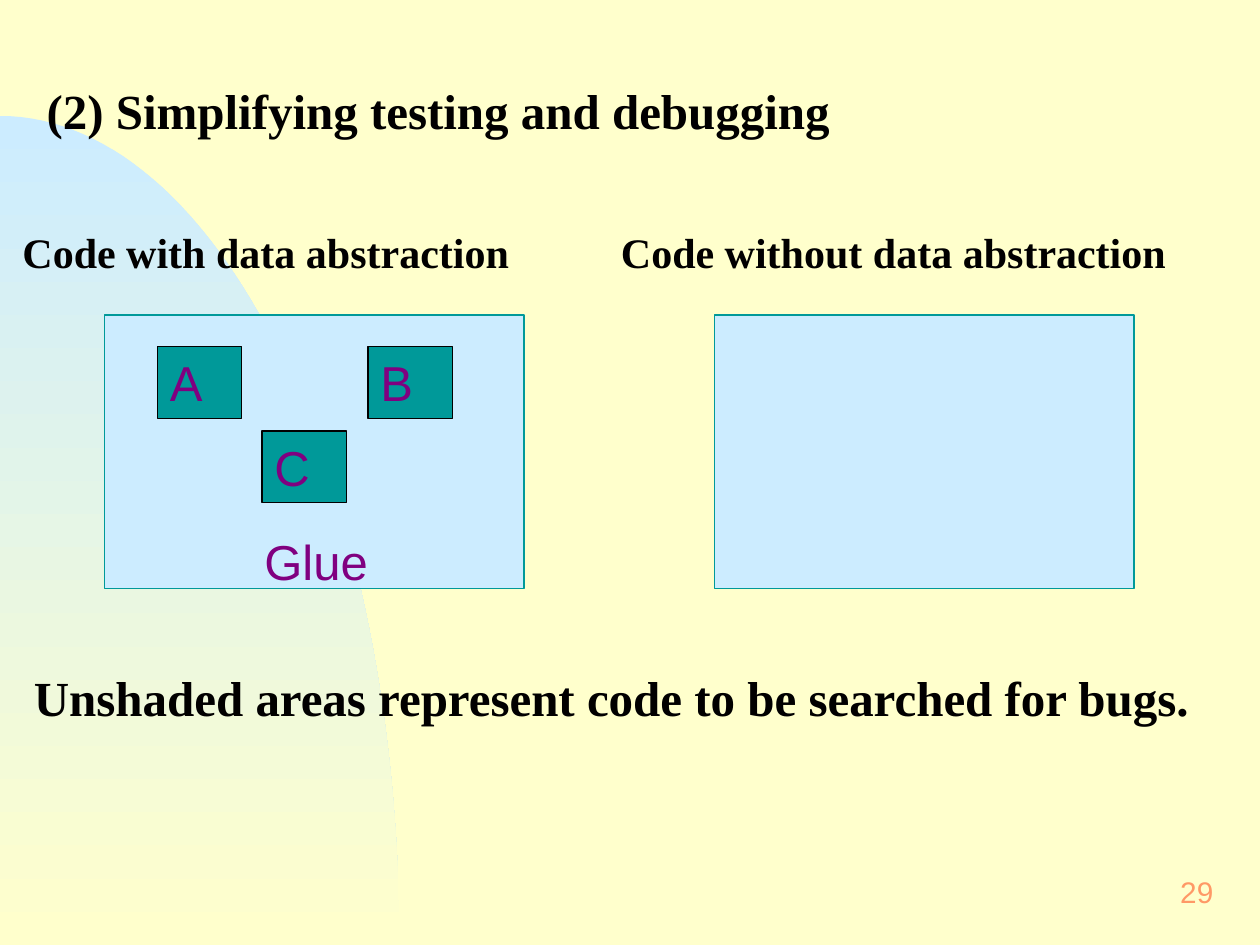
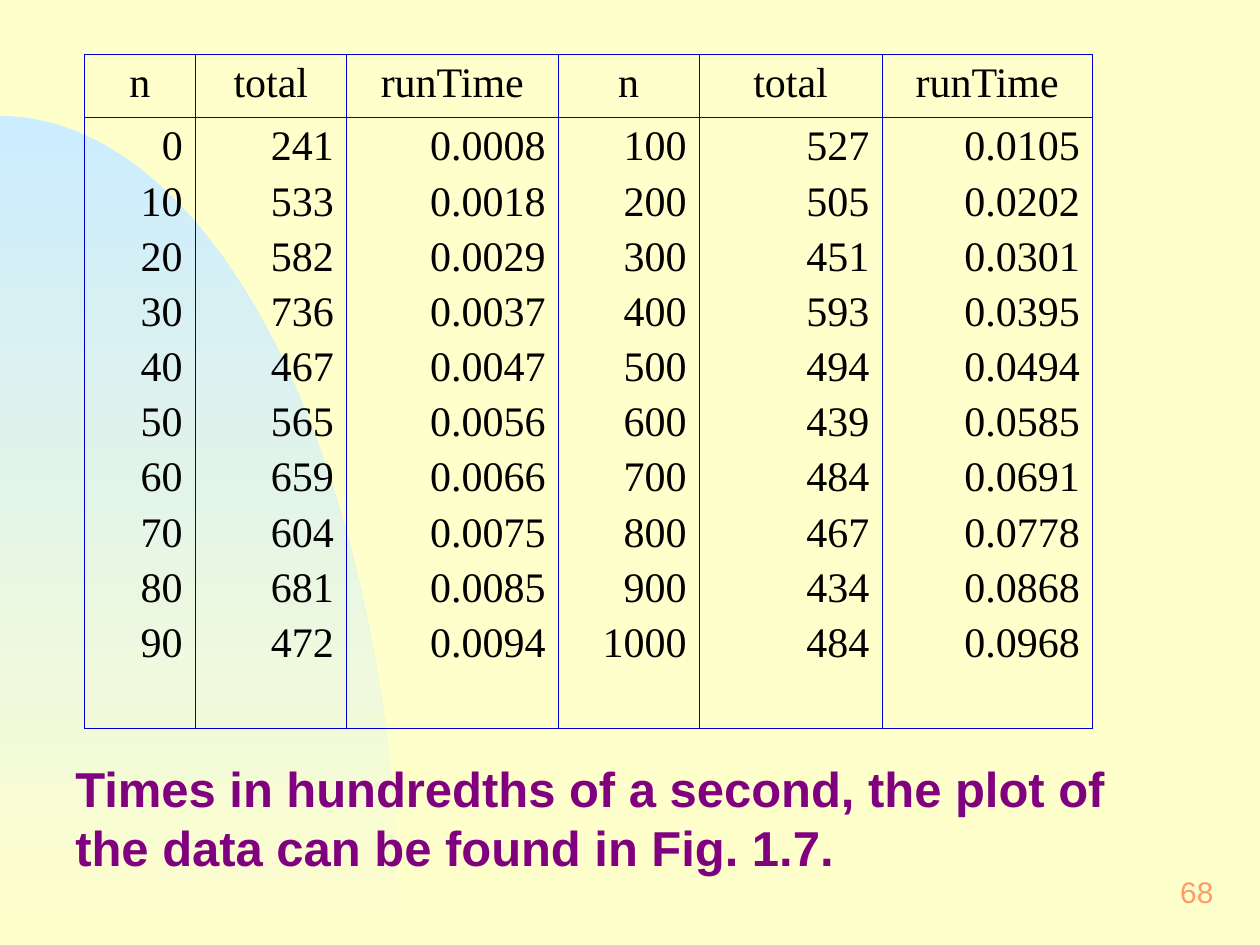
import math

import lxml.etree
import pptx
import pptx.dml.color
import pptx.enum.shapes
import pptx.enum.text
import pptx.oxml.ns
import pptx.util

Inches = pptx.util.Inches
Pt = pptx.util.Pt
RGBColor = pptx.dml.color.RGBColor
ALIGN = pptx.enum.text.PP_ALIGN
ANCHOR = pptx.enum.text.MSO_ANCHOR
qn = pptx.oxml.ns.qn

CREAM = RGBColor(0xFF, 0xFF, 0xCC)
SKY = RGBColor(0xCC, 0xEC, 0xFF)
TEAL = RGBColor(0x00, 0x99, 0x99)
PURPLE = RGBColor(0x80, 0x00, 0x80)
ORANGE = RGBColor(0xFF, 0x99, 0x66)
BLUE = RGBColor(0x00, 0x00, 0xCC)
BLACK = RGBColor(0x01, 0x00, 0x00)

TITLE = {"name": "Times New Roman", "size": Pt(28), "bold": True}
HEADING = {**TITLE, "size": Pt(24)}
CELL = {**HEADING, "bold": False}
LABEL = {"name": "Arial", "size": Pt(28)}
CAPTION = {**LABEL, "bold": True}
NUMBER = {"name": "Arial", "size": Pt(17)}


class Deck:
    def __init__(self):
        self.prs = pptx.Presentation()
        self.prs.slide_width = Inches(10)
        self.prs.slide_height = Inches(7.5)
        fill = self.prs.slide_master.background.fill
        fill.solid()
        fill.fore_color.rgb = CREAM

    def slide(self, number):
        self.s = self.prs.slides.add_slide(self.prs.slide_layouts[6])
        self.arc()
        self.text(number, 7.67, 6.83, 2.08, 0.5, NUMBER, ORANGE,
                  align=ALIGN.RIGHT, anchor=ANCHOR.MIDDLE, inset=0.12)

    def arc(self, width=3.17, height=6.58, bottom=7.5, steps=60):
        angles = [math.pi / 2 * i / steps for i in range(steps + 1)]
        points = [(Inches(width * math.sin(a)), Inches(bottom - height * math.cos(a)))
                  for a in angles]
        builder = self.s.shapes.build_freeform(*points[0])
        builder.add_line_segments(points[1:] + [(0, Inches(bottom))], close=True)
        sp = builder.convert_to_shape()
        sp.shadow.inherit = False
        sp.line.fill.background()
        sp.fill.gradient()
        sp.fill.gradient_angle = 270
        for stop, color in zip(sp.fill.gradient_stops, (SKY, CREAM)):
            stop.color.rgb = color

    def paragraphs(self, tf, lines, fmt, color, align=ALIGN.LEFT, gap=0):
        for i, line in enumerate(lines):
            p = tf.add_paragraph() if i else tf.paragraphs[0]
            p.alignment = align
            if i:
                p.space_before = Pt(gap)
            r = p.add_run()
            r.text = line
            for key, value in fmt.items():
                setattr(r.font, key, value)
            r.font.color.rgb = color

    def frame(self, sp, text, fmt, color, align=ALIGN.LEFT, anchor=ANCHOR.TOP, inset=0.1):
        tf = sp.text_frame
        values = {
            "word_wrap": True, "vertical_anchor": anchor,
            "margin_left": Inches(inset), "margin_right": Inches(inset),
            "margin_top": Inches(inset / 2), "margin_bottom": Inches(inset / 2),
        }
        for key, value in values.items():
            setattr(tf, key, value)
        self.paragraphs(tf, [text], fmt, color, align)

    def text(self, text, left, top, width, height, fmt, color=BLACK, **layout):
        box = (Inches(v) for v in (left, top, width, height))
        self.frame(self.s.shapes.add_textbox(*box), text, fmt, color, **layout)

    def box(self, left, top, width, height, fill, line, label=None):
        sp = self.s.shapes.add_shape(
            pptx.enum.shapes.MSO_SHAPE.RECTANGLE,
            *(Inches(v) for v in (left, top, width, height)))
        sp.shadow.inherit = False
        sp.fill.solid()
        sp.fill.fore_color.rgb = fill
        sp.line.color.rgb = line
        sp.line.width = Pt(0.75)
        if label:
            self.frame(sp, label, LABEL, PURPLE)

    def border(self, cell):
        pr = cell._tc.get_or_add_tcPr()
        for side in ("a:lnL", "a:lnR", "a:lnT", "a:lnB"):
            ln = lxml.etree.SubElement(pr, qn(side), w=str(Pt(0.45)))
            solid = lxml.etree.SubElement(ln, qn("a:solidFill"))
            lxml.etree.SubElement(solid, qn("a:srgbClr"), val=str(BLUE))

    def table(self, left, top, widths, heights, header, columns):
        table = self.s.shapes.add_table(
            2, len(widths), Inches(left), Inches(top),
            Inches(sum(widths)), Inches(sum(heights))).table
        table.first_row = table.horz_banding = False
        for row, height in zip(table.rows, heights):
            row.height = Inches(height)
        for i, (width, name, values) in enumerate(zip(widths, header, columns)):
            table.columns[i].width = Inches(width)
            for row, lines, align in ((0, [name], ALIGN.CENTER), (1, values, ALIGN.RIGHT)):
                cell = table.cell(row, i)
                self.border(cell)
                cell.fill.background()
                self.paragraphs(cell.text_frame, lines, CELL, BLACK, align, gap=5)


def abstraction_slide(deck):
    deck.slide("29")
    deck.text("(2) Simplifying testing and debugging", 0.25, 0.58, 9.5, 0.59, TITLE, inset=0.12)
    for left in (0.83, 5.67):
        deck.box(left, 2.5, 3.33, 2.17, SKY, TEAL)
    for label, left, top in (("A", 1.25, 2.75), ("C", 2.08, 3.42), ("B", 2.92, 2.75)):
        deck.box(left, top, 0.67, 0.57, TEAL, BLACK, label)
    deck.text("Glue", 2, 4.17, 1.25, 0.57, LABEL, PURPLE)
    deck.text("Code with data abstraction", 0.08, 1.75, 4.5, 0.5, HEADING)
    deck.text("Code without data abstraction", 4.83, 1.75, 5.17, 0.5, HEADING)
    deck.text("Unshaded areas represent code to be searched for bugs.",
              0.17, 5.25, 9.67, 0.57, TITLE)


def run_time_slide(deck):
    deck.slide("68")
    columns = [
        [str(n) for n in range(0, 100, 10)],
        "241 533 582 736 467 565 659 604 681 472".split(),
        "0.0008 0.0018 0.0029 0.0037 0.0047 0.0056 0.0066 0.0075 0.0085 0.0094".split(),
        [str(n) for n in range(100, 1001, 100)],
        "527 505 451 593 494 439 484 467 434 484".split(),
        "0.0105 0.0202 0.0301 0.0395 0.0494 0.0585 0.0691 0.0778 0.0868 0.0968".split(),
    ]
    deck.table(0.67, 0.43, (0.88, 1.2, 1.68, 1.12, 1.45, 1.67), (0.5, 4.85),
               ("n", "total", "runTime") * 2, columns)
    deck.text("Times in hundredths of a second, the plot of the data can be found in Fig. 1.7.",
              0.5, 5.97, 9, 1.04, CAPTION, PURPLE)


def main():
    deck = Deck()
    abstraction_slide(deck)
    run_time_slide(deck)
    deck.prs.save("out.pptx")


if __name__ == "__main__":
    main()
